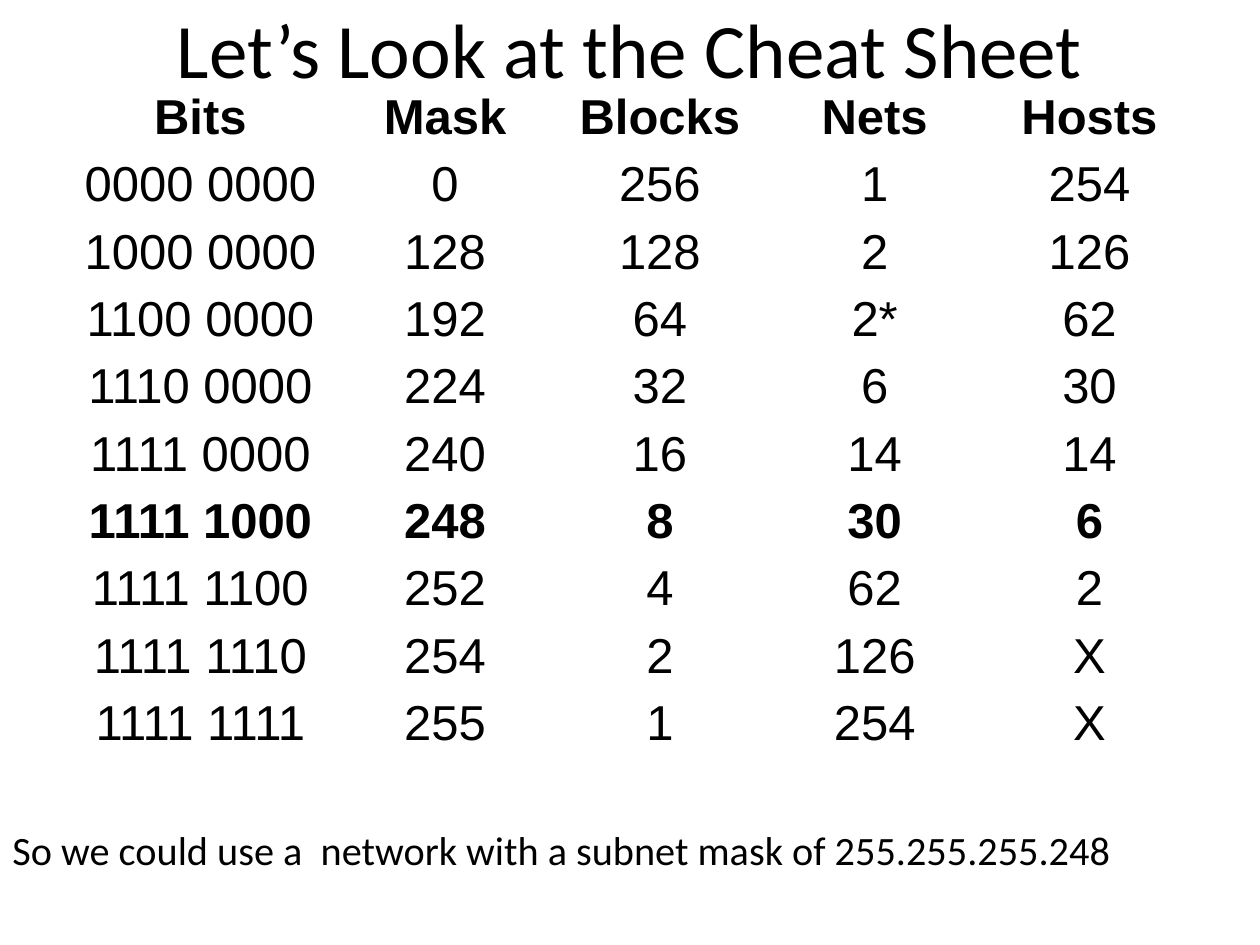
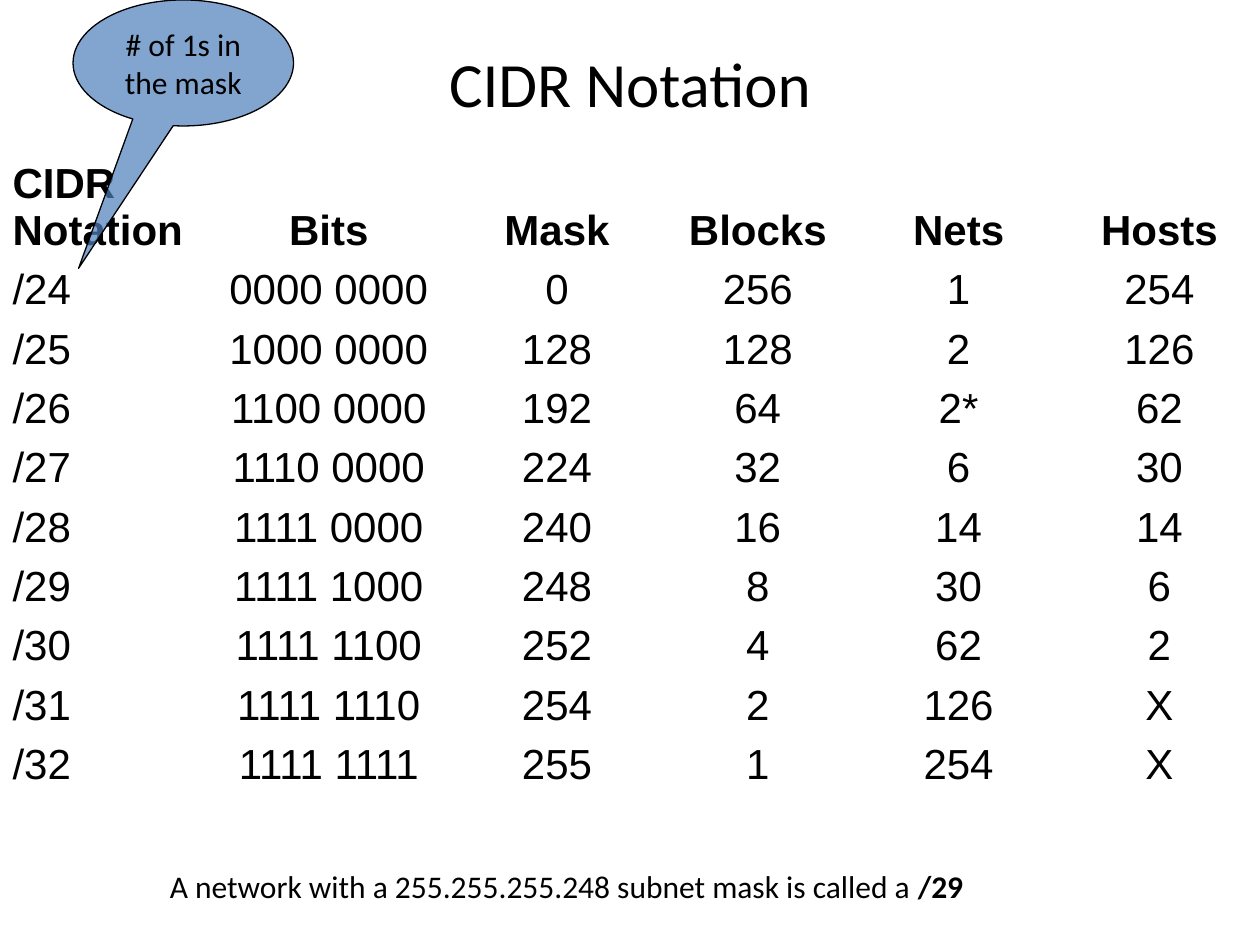
from dataclasses import dataclass

from lxml import etree
from pptx import Presentation
from pptx.dml.color import RGBColor
from pptx.enum.shapes import MSO_SHAPE
from pptx.enum.text import MSO_ANCHOR, MSO_AUTO_SIZE, PP_ALIGN
from pptx.oxml.ns import qn
from pptx.util import Inches, Pt

LEFT, CENTER = PP_ALIGN.LEFT, PP_ALIGN.CENTER
TOP, MIDDLE, BOTTOM = MSO_ANCHOR.TOP, MSO_ANCHOR.MIDDLE, MSO_ANCHOR.BOTTOM
NO_RESIZE, GROW = MSO_AUTO_SIZE.NONE, MSO_AUTO_SIZE.SHAPE_TO_FIT_TEXT
ELLIPSE_CALLOUT = MSO_SHAPE.OVAL_CALLOUT
TITLE_ONLY = 5


@dataclass(frozen=True)
class Theme:
    ink: RGBColor = RGBColor(0x00, 0x00, 0x00)
    callout: RGBColor = RGBColor(0x4F, 0x81, 0xBD)
    callout_opacity: int = 71
    text_font: str = "Calibri"
    table_font: str = "Arial"
    title_size: int = 44
    small_title_size: int = 36
    table_size: int = 28
    small_table_size: int = 24
    note_size: int = 23
    small_note_size: int = 18


THEME = Theme()

BITS_HEADING = "Bits"
HEADINGS = [BITS_HEADING, "Mask", "Blocks", "Nets", "Hosts"]
SUBNETS = [
    ["0000 0000", "0", "256", "1", "254"],
    ["1000 0000", "128", "128", "2", "126"],
    ["1100 0000", "192", "64", "2*", "62"],
    ["1110 0000", "224", "32", "6", "30"],
    ["1111 0000", "240", "16", "14", "14"],
    ["1111 1000", "248", "8", "30", "6"],
    ["1111 1100", "252", "4", "62", "2"],
    ["1111 1110", "254", "2", "126", "X"],
    ["1111 1111", "255", "1", "254", "X"],
]
CHOSEN_MASK = "248"
FIRST_PREFIX = 24


def set_attributes(target, values):
    for name, value in values.items():
        setattr(target, name, value)


def write_text(text_frame, runs, size, font=THEME.text_font, align=LEFT):
    """Fill the first paragraph with (text, bold) runs."""
    paragraph = text_frame.paragraphs[0]
    paragraph.alignment = align
    for text, bold in runs:
        run = paragraph.add_run()
        run.text = text
        set_attributes(run.font, {"name": font, "size": Pt(size), "bold": bold})
        run.font.color.rgb = THEME.ink


def add_titled_slide(presentation, title, box, size, anchor=MIDDLE):
    slide = presentation.slides.add_slide(presentation.slide_layouts[TITLE_ONLY])
    placeholder = slide.shapes.title
    edges = ("left", "top", "width", "height")
    set_attributes(placeholder, dict(zip(edges, map(Inches, box))))
    set_attributes(placeholder.text_frame, {
        "word_wrap": True, "auto_size": NO_RESIZE, "vertical_anchor": anchor})
    write_text(placeholder.text_frame, [(title, False)], size, align=CENTER)
    return slide


def add_subnet_table(slide, box, rows, size, bits_width, header_height,
                     bold_rows=(0,), left_columns=()):
    """The bits column has its own width; the other columns share the rest."""
    left, top, width, height = box
    columns = len(rows[0])
    frame = slide.shapes.add_table(len(rows), columns, *map(Inches, box))
    table = frame.table
    set_attributes(table, {"first_row": False, "horz_banding": False})
    shared_width = (width - bits_width) / (columns - 1)
    for column, heading in zip(table.columns, rows[0]):
        column.width = Inches(bits_width if heading == BITS_HEADING else shared_width)
    body_height = (height - header_height) / (len(rows) - 1)
    for row_index, values in enumerate(rows):
        table.rows[row_index].height = Inches(body_height if row_index else header_height)
        for column_index, value in enumerate(values):
            cell = table.cell(row_index, column_index)
            cell.fill.background()
            set_attributes(cell, {
                "vertical_anchor": BOTTOM,
                "margin_top": Inches(0.03), "margin_bottom": Inches(0.05)})
            align = LEFT if column_index in left_columns else CENTER
            write_text(cell.text_frame, [(value, row_index in bold_rows)],
                       size, THEME.table_font, align)


def add_note(slide, box, runs, size, wrap=True):
    text_frame = slide.shapes.add_textbox(*map(Inches, box)).text_frame
    set_attributes(text_frame, {"word_wrap": wrap, "auto_size": GROW})
    write_text(text_frame, runs, size)


def add_callout(slide, box, text, tip):
    """Ellipse whose tip is offset from its centre in shares of its size."""
    shape = slide.shapes.add_shape(ELLIPSE_CALLOUT, *map(Inches, box))
    shape.shadow.inherit = False
    for index, offset in enumerate(tip):
        shape.adjustments[index] = offset
    shape.fill.solid()
    shape.fill.fore_color.rgb = THEME.callout
    color = shape.fill._xPr.find(qn("a:solidFill"))[0]
    etree.SubElement(color, qn("a:alpha"), val=str(THEME.callout_opacity * 1000))
    shape.line.color.rgb = THEME.ink
    shape.line.width = Pt(0.75)
    set_attributes(shape.text_frame, {"word_wrap": True, "vertical_anchor": MIDDLE})
    write_text(shape.text_frame, [(text, False)], THEME.small_note_size, align=CENTER)


def build_cheat_sheet(presentation):
    slide = add_titled_slide(presentation, "Let’s Look at the Cheat Sheet",
                             (0.5, -0.25, 9, 1.25), THEME.title_size)
    rows = [HEADINGS] + SUBNETS
    chosen_row = next(i for i, row in enumerate(rows) if row[1] == CHOSEN_MASK)
    add_subnet_table(slide, (0.5, 0.67, 9, 5.34), rows, THEME.table_size,
                     bits_width=2.18, header_height=0.53, bold_rows=(0, chosen_row))
    add_note(slide, (0, 6.5, 10, 0.48),
             [("So we could use a  network with a subnet mask of 255.255.255.248", False)],
             THEME.note_size)


def build_cidr_notation(presentation):
    slide = add_titled_slide(presentation, "CIDR Notation", (0.5, 0.3, 9, 1.25),
                             THEME.small_title_size, TOP)
    rows = [["CIDR Notation"] + HEADINGS]
    rows += [[f"/{prefix}"] + subnet
             for prefix, subnet in enumerate(SUBNETS, FIRST_PREFIX)]
    add_subnet_table(slide, (0, 1.08, 10, 5.23), rows, THEME.small_table_size,
                     bits_width=2.03, header_height=0.99, left_columns=(0,))
    add_note(slide, (1.25, 6.83, 7.06, 0.4),
             [("A network with a 255.255.255.248 subnet mask is called a ", False),
              ("/29", True)],
             THEME.small_note_size, wrap=False)
    add_callout(slide, (0.58, 0, 1.75, 1), "# of 1s in the mask", tip=(-0.475, 1.63))


def main():
    presentation = Presentation()
    presentation.slide_width = Inches(10)
    presentation.slide_height = Inches(7.5)
    build_cheat_sheet(presentation)
    build_cidr_notation(presentation)
    presentation.save("out.pptx")


if __name__ == "__main__":
    main()
